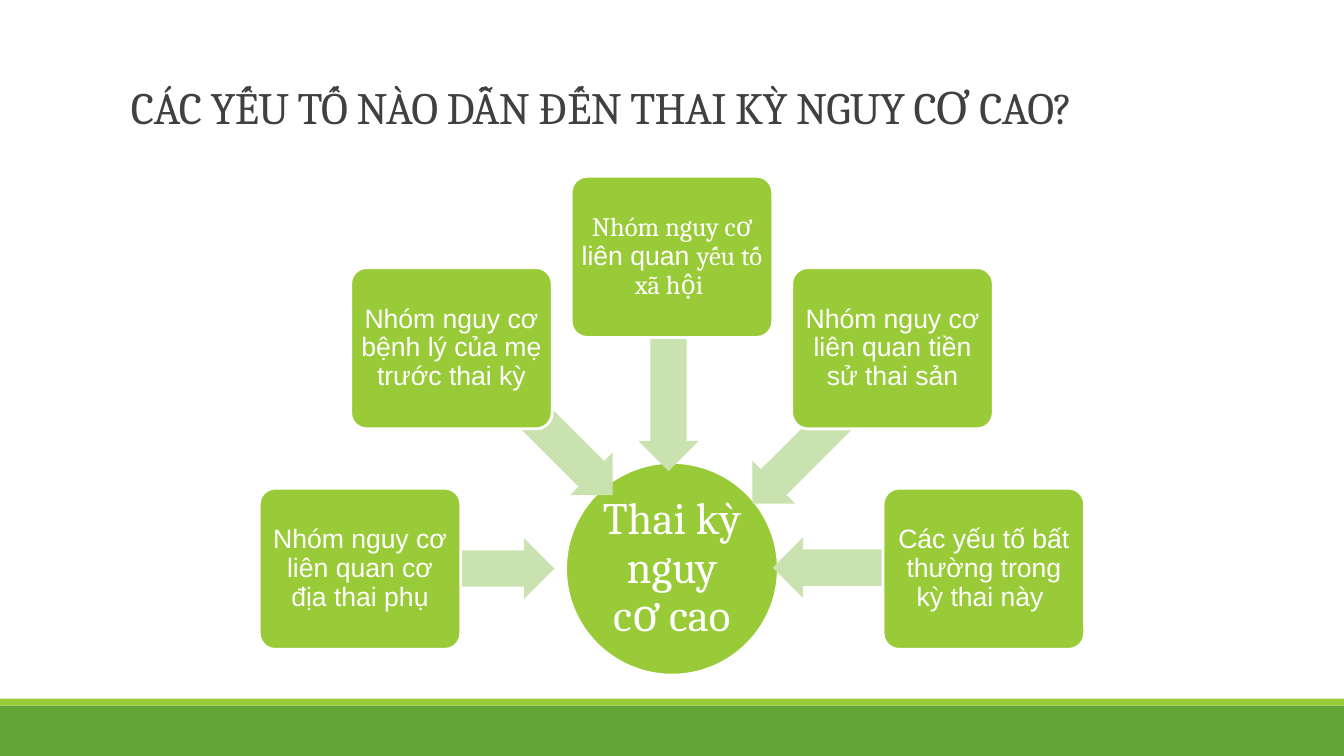
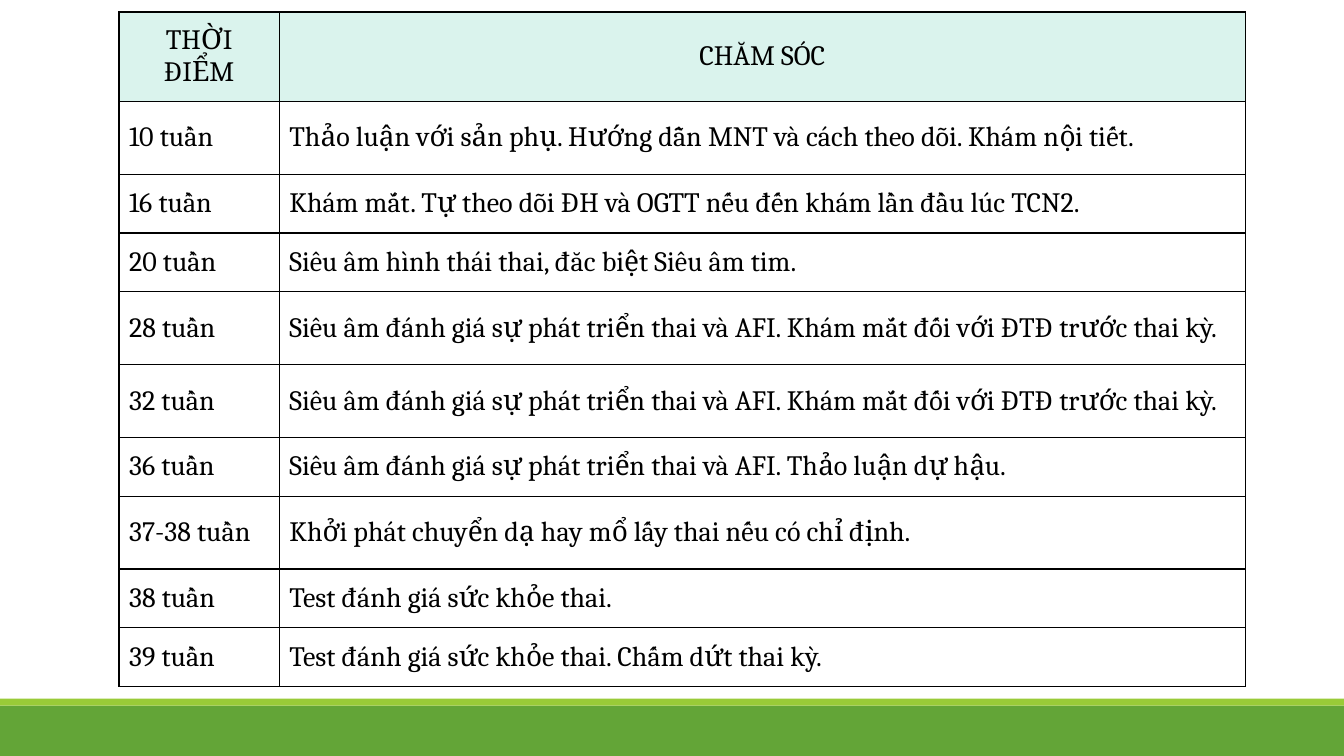
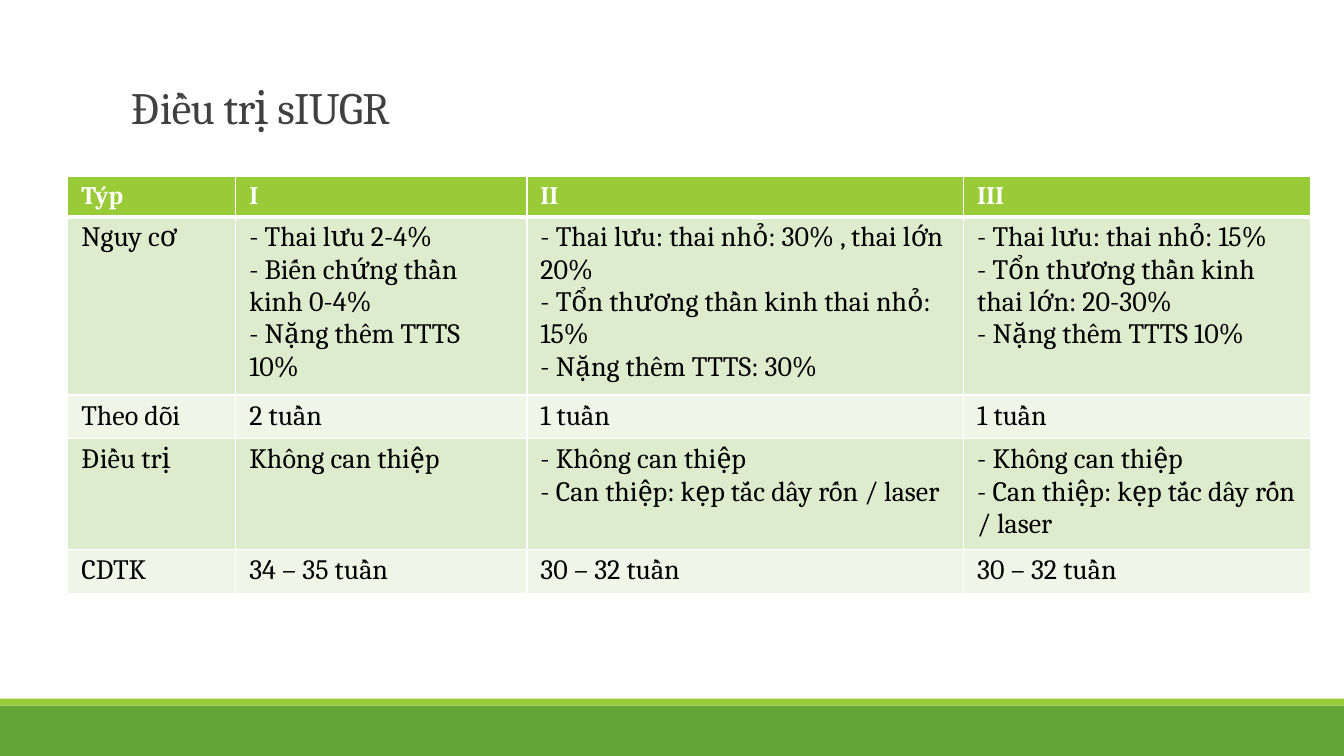
"""Build three slides on high-risk pregnancy: causes, care schedule and sIUGR treatment."""
import math
import pptx
import pptx.util
import pptx.dml.color
import pptx.enum.shapes
import pptx.enum.text
import pptx.oxml
import pptx.oxml.ns
from dataclasses import dataclass

Pt = pptx.util.Pt
SHAPE = pptx.enum.shapes.MSO_SHAPE
ALIGN = pptx.enum.text.PP_ALIGN
ANCHOR = pptx.enum.text.MSO_ANCHOR


@dataclass(frozen=True)
class Theme:
    serif: str = "Cambria"
    sans: str = "Arial"
    green: str = "63A537"
    lime: str = "99CB38"
    pale: str = "CAE2AF"
    mint: str = "DAF3ED"
    bands: tuple = ("DEECCE", "EFF6E8")
    grey: str = "404040"
    black: str = "000000"
    white: str = "FFFFFF"
    big: int = 32
    body: int = 20
    label: int = 19
    head: int = 18


T = Theme()
WIDE, HIGH = 960, 540

CAUSES = {
    "title": "CÁC YẾU TỐ NÀO DẪN ĐẾN THAI KỲ NGUY CƠ CAO?",
    "hub": "Thai kỳ nguy cơ cao",
    "nodes": [
        (180, (326.5, 406), [("Nhóm nguy cơ liên quan cơ địa thai phụ", T.sans)]),
        (225, (388.5, 304.5), [("Nhóm nguy cơ bệnh lý của mẹ trước thai kỳ", T.sans)]),
        (270, (477.5, 267), [("Nhóm nguy cơ ", T.serif), ("liên quan ", T.sans),
                             ("yếu tố xã hội ", T.serif)]),
        (315, (586.5, 310.5), [("Nhóm nguy cơ liên quan tiền sử thai sản", T.sans)]),
        (0, (621.5, 405.5), [("Các yếu tố bất thường trong kỳ thai này ", T.sans)]),
    ],
}

CARE = {
    "place": (85, 8.5),
    "cols": (114.5, 690),
    "rows": (64, 52, 42, 42, 52, 52, 42, 52, 42, 42),
    "cells": [
        ("THỜI ĐIỂM", "CHĂM SÓC"),
        ("10 tuần", "Thảo luận với sản phụ. Hướng dẫn MNT và cách theo dõi. Khám nội tiết."),
        ("16 tuần", "Khám mắt. Tự theo dõi ĐH và OGTT nếu đến khám lần đầu lúc TCN2."),
        ("20 tuần", "Siêu âm hình thái thai, đăc biệt Siêu âm tim."),
        ("28 tuần", "Siêu âm đánh giá sự phát triển thai và AFI. Khám mắt đối với ĐTĐ trước thai kỳ."),
        ("32 tuần", "Siêu âm đánh giá sự phát triển thai và AFI. Khám mắt đối với ĐTĐ trước thai kỳ."),
        ("36 tuần", "Siêu âm đánh giá sự phát triển thai và AFI. Thảo luận dự hậu."),
        ("37-38 tuần", "Khởi phát chuyển dạ hay mổ lấy thai nếu có chỉ định."),
        ("38 tuần", "Test đánh giá sức khỏe thai."),
        ("39 tuần", "Test đánh giá sức khỏe thai. Chấm dứt thai kỳ."),
    ],
}

TREAT = {
    "title": "Điều trị sIUGR",
    "place": (48.5, 126),
    "cols": (120, 208, 312, 248),
    "rows": (28, 122, 30.5, 76, 30),
    "cells": [
        ("Týp", "I", "II", "III"),
        ("Nguy cơ",
         "- Thai lưu 2-4%\n- Biến chứng thần kinh 0-4%\n- Nặng thêm TTTS 10%",
         "- Thai lưu: thai nhỏ: 30% , thai lớn 20%\n- Tổn thương thần kinh thai nhỏ: 15%\n"
         "- Nặng thêm TTTS: 30%",
         "- Thai lưu: thai nhỏ: 15%\n- Tổn thương thần kinh thai lớn: 20-30%\n"
         "- Nặng thêm TTTS 10%"),
        ("Theo dõi", "2 tuần", "1 tuần", "1 tuần"),
        ("Điều trị", "Không can thiệp",
         "- Không can thiệp\n- Can thiệp: kẹp tắc dây rốn / laser",
         "- Không can thiệp\n- Can thiệp: kẹp tắc dây rốn / laser"),
        ("CDTK", "34 – 35 tuần", "30 – 32 tuần", "30 – 32 tuần"),
    ],
}


def put(item, **vals):
    for name, val in vals.items():
        setattr(item, name, val)


def tint(code):
    return pptx.dml.color.RGBColor.from_string(code)


def paint(item, code):
    item.fill.solid()
    item.fill.fore_color.rgb = tint(code)


def pads(side, top):
    return {"margin_left": Pt(side), "margin_right": Pt(side),
            "margin_top": Pt(top), "margin_bottom": Pt(top)}


def write(para, runs, size, color, bold=False, **form):
    put(para, **form)
    for text, face in runs:
        run = para.add_run()
        run.text = text
        put(run.font, name=face, size=Pt(size), bold=bold)
        run.font.color.rgb = tint(color)


def draw(slide, kind, box, fill, edge=None):
    form = slide.shapes.add_shape(kind, *map(Pt, box))
    form.shadow.inherit = False
    paint(form, fill)
    if edge:
        form.line.color.rgb = tint(edge)
        form.line.width = Pt(2)
    else:
        form.line.fill.background()
    return form


def label(form, runs, size, pad):
    frame = form.text_frame
    put(frame, word_wrap=True, vertical_anchor=ANCHOR.MIDDLE, **pads(pad, pad))
    write(frame.paragraphs[0], runs, size, T.white,
          alignment=ALIGN.CENTER, line_spacing=0.9)


def around(spot, wide, high):
    return spot[0] - wide / 2, spot[1] - high / 2, wide, high


def start(deck, title=None):
    slide = deck.slides.add_slide(deck.slide_layouts[6])
    draw(slide, SHAPE.RECTANGLE, (0, 504, WIDE, 36), T.green)
    draw(slide, SHAPE.RECTANGLE, (0, 499, WIDE, 5), T.lime)
    if title:
        box = slide.shapes.add_textbox(*map(Pt, (86.5, 22, 792, 114.5)))
        put(box.text_frame, word_wrap=True, vertical_anchor=ANCHOR.MIDDLE)
        para = box.text_frame.paragraphs[0]
        write(para, [(title, T.serif)], T.big, T.grey, line_spacing=0.85)
        para.runs[0].font._element.set("spc", "-50")
    return slide


def edge(cell, color, **widths):
    props = cell._tc.get_or_add_tcPr()
    space = pptx.oxml.ns.nsdecls("a")
    for side in "LRTB":
        size = Pt(widths.get(side, 1))
        props.append(pptx.oxml.parse_xml(
            f'<a:ln{side} {space} w="{size}"><a:solidFill><a:srgbClr val="{color}"/>'
            f'</a:solidFill></a:ln{side}>'))


def grid(slide, data, style):
    cols, rows = data["cols"], data["rows"]
    area = (*data["place"], sum(cols), sum(rows))
    table = slide.shapes.add_table(len(rows), len(cols), *map(Pt, area)).table
    put(table, first_row=False, horz_banding=False)
    for col, wide in zip(table.columns, cols):
        col.width = Pt(wide)
    for r, (row, high) in enumerate(zip(table.rows, rows)):
        row.height = Pt(high)
        for cell, text in zip(row.cells, data["cells"][r]):
            style(cell, r, text)


def fill_cell(cell, text, size, color, bold=False, **form):
    frame = cell.text_frame
    for i, line in enumerate(text.split("\n")):
        para = frame.add_paragraph() if i else frame.paragraphs[0]
        write(para, [(line, T.serif)], size, color, bold, **form)


def care_cell(cell, row, text):
    put(cell, vertical_anchor=ANCHOR.MIDDLE, **pads(7.2, 7.2))
    edge(cell, T.black)
    if row:
        cell.fill.background()
    else:
        paint(cell, T.mint)
    fill_cell(cell, text, T.body, T.black,
              alignment=ALIGN.LEFT if row else ALIGN.CENTER)


def treat_cell(cell, row, text):
    put(cell, **pads(9.6, 3.6))
    edge(cell, T.white, T=1 if row != 1 else 3, B=1 if row else 3)
    paint(cell, T.bands[(row - 1) % 2] if row else T.lime)
    if row:
        fill_cell(cell, text, T.body, T.black)
    else:
        fill_cell(cell, text, T.head, T.white, True)


def causes(deck):
    slide = start(deck, CAUSES["title"])
    hub, reach = (480, 406.3), 222.8
    disc = draw(slide, SHAPE.OVAL, around(hub, 152, 152), T.lime, T.white)
    label(disc, [(CAUSES["hub"], T.serif)], T.big, 1.5)
    for turn, spot, runs in CAUSES["nodes"]:
        arrow = draw(slide, SHAPE.LEFT_ARROW, around(spot, 139, 43.2), T.pale)
        arrow.rotation = turn
        arrow.adjustments[0], arrow.adjustments[1] = 0.6, 0.5
        angle = math.radians(turn)
        mid = (hub[0] + reach * math.cos(angle), hub[1] + reach * math.sin(angle))
        node = draw(slide, SHAPE.ROUNDED_RECTANGLE, around(mid, 144, 115.2), T.lime, T.white)
        node.adjustments[0] = 0.1
        label(node, runs, T.label, 2.9)


def main():
    deck = pptx.Presentation()
    put(deck, slide_width=Pt(WIDE), slide_height=Pt(HIGH))
    causes(deck)
    grid(start(deck), CARE, care_cell)
    grid(start(deck, TREAT["title"]), TREAT, treat_cell)
    deck.save("out.pptx")


if __name__ == "__main__":
    main()
